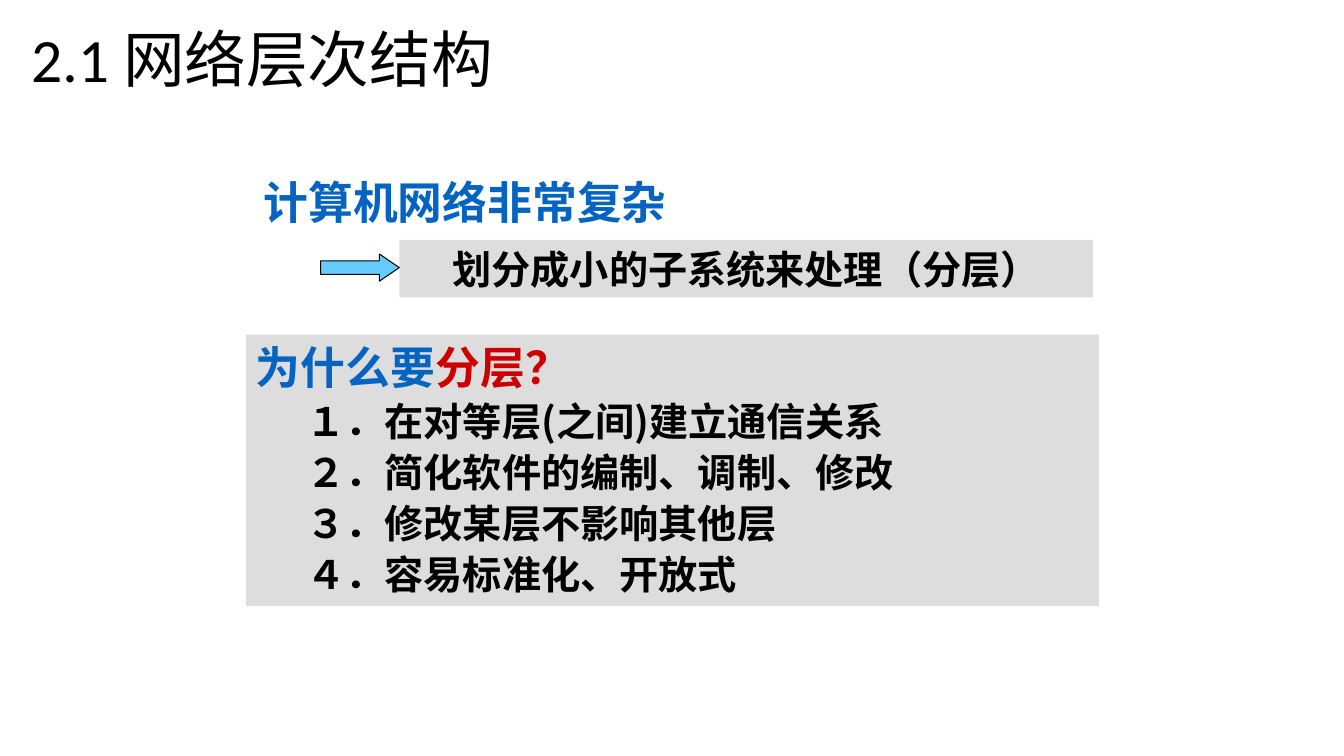
import pptx
import pptx.util
import pptx.dml.color
import pptx.enum.shapes
import pptx.enum.text
from lxml import etree

Inches = pptx.util.Inches
ALIGN = pptx.enum.text.PP_ALIGN
ANCHOR = pptx.enum.text.MSO_ANCHOR
SHAPE = pptx.enum.shapes.MSO_SHAPE

# Content: each paragraph is a list of (text, colour) runs
TITLE = [[("2.1 网络层次结构", "black")]]
PROBLEM = [[("计算机网络非常复杂", "blue")]]
SOLUTION = [[("划分成小的子系统来处理（分层）", "black")]]
QUESTION = [("为什么要", "blue"), ("分层？", "red")]
REASONS = [
    "１．在对等层(之间)建立通信关系",
    "２．简化软件的编制、调制、修改",
    "３．修改某层不影响其他层",
    "４．容易标准化、开放式",
]

THEME = {
    "black": "000000", "blue": "0563C1", "red": "CC0000",
    "panel": "DDDDDD", "arrow": "66CCFF",
    "title_font": "Calibri", "body_font": "Noto Sans CJK SC",
    "title_size": 44, "heading_size": 32, "body_size": 28,
}

# Layout: left, top, width, height in inches
TITLE_BOX = (0.21, 0, 10.71, 1.25)
PROBLEM_BOX = (2.28, 1.68, 4.67, 0.63)
SOLUTION_BOX = (3.96, 2.38, 6.88, 0.57)
REASONS_BOX = (2.44, 3.32, 8.46, 2.69)
ARROW_WIDTH, ARROW_HEIGHT = 0.78, 0.27
ARROW_BOX = (SOLUTION_BOX[0] - ARROW_WIDTH, 2.52, ARROW_WIDTH, ARROW_HEIGHT)
REASON_INDENT = 0.5


def colour(name):
    return pptx.dml.color.RGBColor.from_string(THEME[name])


def add_panel(slide, box, fill, kind=SHAPE.RECTANGLE):
    panel = slide.shapes.add_shape(kind, *map(Inches, box))
    panel.shadow.inherit = False
    panel.fill.solid()
    panel.fill.fore_color.rgb = colour(fill)
    panel.line.fill.background()
    return panel


def write(holder, paragraphs, sizes, font="body_font", bold=True,
          align=ALIGN.LEFT, anchor=ANCHOR.TOP, indent=0, gap=0, spacing=None):
    """Fill a shape with text; indent and gap apply after the first paragraph."""
    frame = holder.text_frame
    frame.word_wrap = True
    frame.vertical_anchor = anchor
    for index, runs in enumerate(paragraphs):
        paragraph = frame.paragraphs[0] if index == 0 else frame.add_paragraph()
        paragraph.alignment = align
        if spacing:
            paragraph.line_spacing = spacing
        if index:
            paragraph.space_before = pptx.util.Pt(gap)
            properties = paragraph._p.get_or_add_pPr()
            properties.set("marL", str(Inches(indent)))
            properties.set("indent", "0")
        for text, name in runs:
            run = paragraph.add_run()
            run.text = text
            run.font.size = pptx.util.Pt(THEME[sizes[min(index, len(sizes) - 1)]])
            run.font.bold = bold
            run.font.color.rgb = colour(name)
            run.font.name = THEME[font]
            east_asian = etree.SubElement(
                run._r.get_or_add_rPr(), pptx.oxml.ns.qn("a:ea"))
            east_asian.set("typeface", THEME["body_font"])


def main():
    deck = pptx.Presentation()
    deck.slide_width, deck.slide_height = Inches(13.33), Inches(7.5)
    slide = deck.slides.add_slide(deck.slide_layouts[6])

    # Title and problem statement
    title = slide.shapes.add_textbox(*map(Inches, TITLE_BOX))
    write(title, TITLE, ["title_size"], font="title_font", bold=False,
          anchor=ANCHOR.MIDDLE, spacing=0.9)
    problem = slide.shapes.add_textbox(*map(Inches, PROBLEM_BOX))
    write(problem, PROBLEM, ["heading_size"], align=ALIGN.CENTER)

    # Reasons for layering
    reasons = add_panel(slide, REASONS_BOX, "panel")
    write(reasons, [QUESTION] + [[(reason, "black")] for reason in REASONS],
          ["heading_size", "body_size"], align=ALIGN.JUSTIFY,
          indent=REASON_INDENT, gap=2.8)

    # Solution with the arrow leading to it
    solution = add_panel(slide, SOLUTION_BOX, "panel")
    write(solution, SOLUTION, ["body_size"], align=ALIGN.CENTER)
    arrow = add_panel(slide, ARROW_BOX, "arrow", SHAPE.RIGHT_ARROW)
    arrow.adjustments[1] = 0.73
    arrow.line.color.rgb = colour("black")
    arrow.line.width = pptx.util.Pt(0.75)

    deck.save("out.pptx")


if __name__ == "__main__":
    main()
